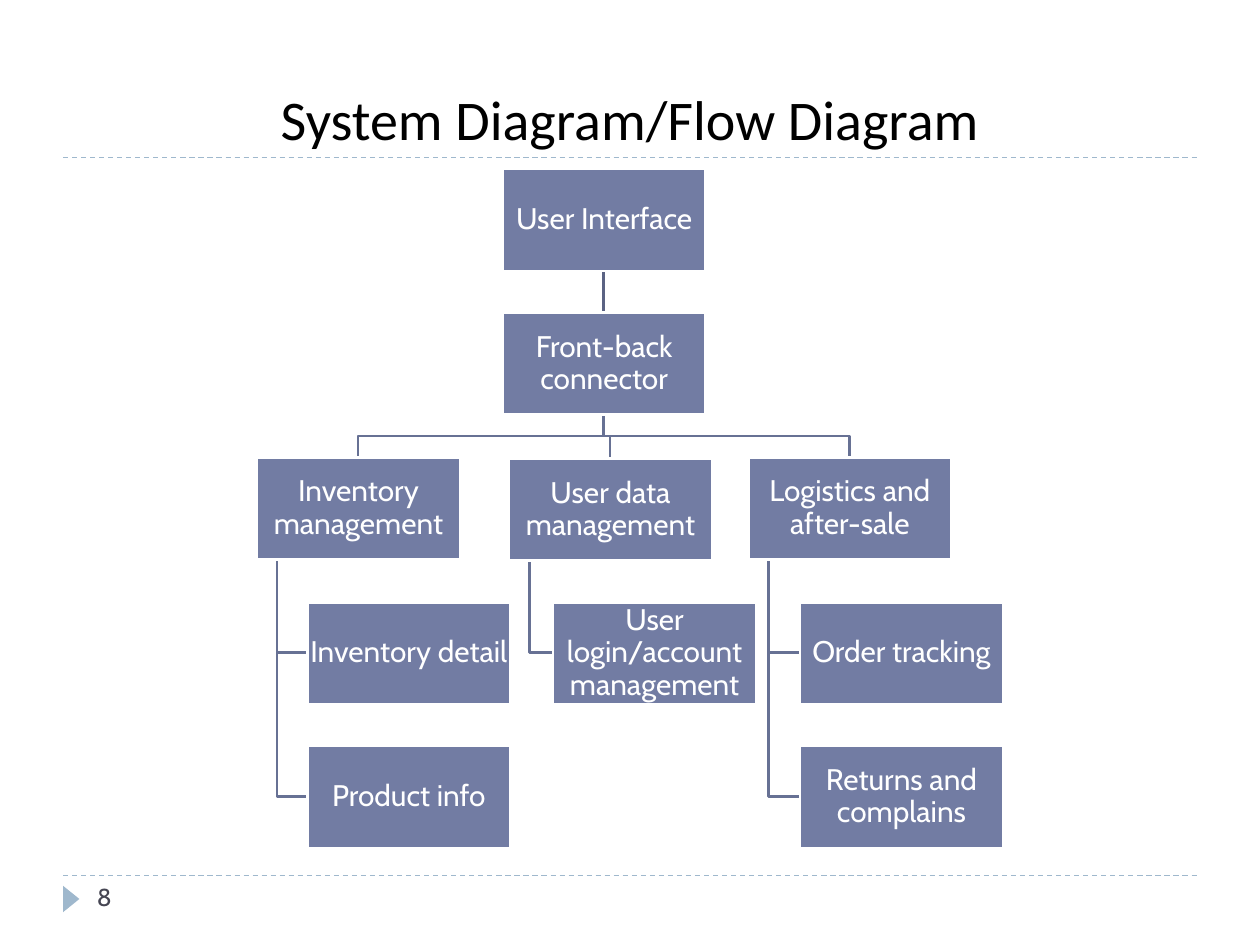
from lxml import etree
from pptx import Presentation, util as u
from pptx.dml.color import RGBColor
from pptx.enum import dml, shapes, text
from pptx.oxml.ns import qn

PX = 9144  # 100 px to the inch
BOX_W, BOX_H = 161, 81
HANG = 16  # inset of a hanging line from the left edge of its parent

BOX = RGBColor(0x72, 0x7C, 0xA3)
BRANCH = RGBColor(0x67, 0x71, 0x94)
STEM = RGBColor(0x5B, 0x63, 0x83)
ACCENT = RGBColor(0x9F, 0xB8, 0xCD)
WHITE = RGBColor(0xFF, 0xFF, 0xFF)
BLACK = RGBColor(0x00, 0x00, 0x00)
SLATE = RGBColor(0x46, 0x46, 0x53)

prs = Presentation()
prs.slide_width, prs.slide_height = 1000 * PX, 750 * PX
s = prs.slides.add_slide(prs.slide_layouts[6])


def add_line(x1, y1, x2, y2, color, width):
    c = s.shapes.add_connector(shapes.MSO_CONNECTOR.STRAIGHT,
                               x1 * PX, y1 * PX, x2 * PX, y2 * PX)
    c.line.color.rgb = color
    c.line.width = u.Pt(width)
    etree.SubElement(c._element.spPr, qn("a:effectLst"))
    return c


def set_text(sp, words, font, size, color, align, anchor):
    tf = sp.text_frame
    tf.word_wrap = True
    tf.vertical_anchor = anchor
    tf.text = words
    p = tf.paragraphs[0]
    p.alignment = align
    r = p.runs[0]
    r.font.name, r.font.size = font, u.Pt(size)
    r.font.color.rgb = color
    return tf


# Rules, page marker, title and page number
for y in (695, 125):
    add_line(50, y, 950, y, ACCENT, 0.75).line.dash_style = dml.MSO_LINE.DASH

marker = s.shapes.add_shape(shapes.MSO_SHAPE.ISOSCELES_TRIANGLE,
                            46 * PX, 707 * PX, 21 * PX, 13 * PX)
marker.rotation = 90
marker.shadow.inherit = False
marker.fill.solid()
marker.fill.fore_color.rgb = ACCENT
marker.line.fill.background()

title = s.shapes.add_textbox(50 * PX, 17 * PX, 900 * PX, 108 * PX)
set_text(title, "System Diagram/Flow Diagram", "Calibri", 32, BLACK,
         text.PP_ALIGN.CENTER, text.MSO_ANCHOR.BOTTOM)
number = s.shapes.add_textbox(67 * PX, 695 * PX, 217 * PX, 40 * PX)
set_text(number, "8", "Cabin", 14, SLATE,
         text.PP_ALIGN.LEFT, text.MSO_ANCHOR.TOP)

# Left and top of each box
boxes = {
    "User Interface": (399, 134),
    "Front-back connector": (399, 248),
    "Inventory management": (204, 363),
    "Inventory detail": (244, 478),
    "Product info": (244, 592),
    "User data management": (404, 364),
    "User login/account management": (439, 478),
    "Logistics and after-sale": (594, 363),
    "Order tracking": (635, 478),
    "Returns and complains": (635, 592),
}
modules = {
    "Logistics and after-sale": ["Returns and complains", "Order tracking"],
    "User data management": ["User login/account management"],
    "Inventory management": ["Product info", "Inventory detail"],
}

# Branches lie under the boxes
hub_x, hub_y = boxes["Front-back connector"]
stem_x, stem_y = hub_x + BOX_W // 2, hub_y + BOX_H
routes = []
for module, parts in modules.items():
    x, y = boxes[module]
    mid_x, mid_y = x + BOX_W // 2, (stem_y + y) // 2
    for part in parts:
        part_x, part_y = boxes[part]
        level = part_y + BOX_H // 2
        routes.append([(x + HANG, y + BOX_H), (x + HANG, level),
                       (part_x, level)])
    routes.append([(stem_x, stem_y), (stem_x, mid_y),
                   (mid_x, mid_y), (mid_x, y)])

for start, *rest in routes:
    fb = s.shapes.build_freeform(*start, scale=PX)
    fb.add_line_segments(rest, close=False)
    branch = fb.convert_to_shape()
    branch.shadow.inherit = False
    branch.fill.background()
    branch.line.color.rgb = BRANCH
    branch.line.width = u.Pt(1.5)

add_line(stem_x, boxes["User Interface"][1] + BOX_H, stem_x, hub_y, STEM, 1.5)

for words, (x, y) in boxes.items():
    sp = s.shapes.add_shape(shapes.MSO_SHAPE.RECTANGLE,
                            x * PX, y * PX, BOX_W * PX, BOX_H * PX)
    sp.shadow.inherit = False
    sp.fill.solid()
    sp.fill.fore_color.rgb = BOX
    sp.line.color.rgb = WHITE
    sp.line.width = u.Pt(1.5)
    tf = set_text(sp, words, "Cabin", 17, WHITE,
                  text.PP_ALIGN.CENTER, text.MSO_ANCHOR.MIDDLE)
    tf.margin_left = tf.margin_right = tf.margin_top = tf.margin_bottom = PX
    tf.paragraphs[0].line_spacing = 0.9

prs.save("out.pptx")
